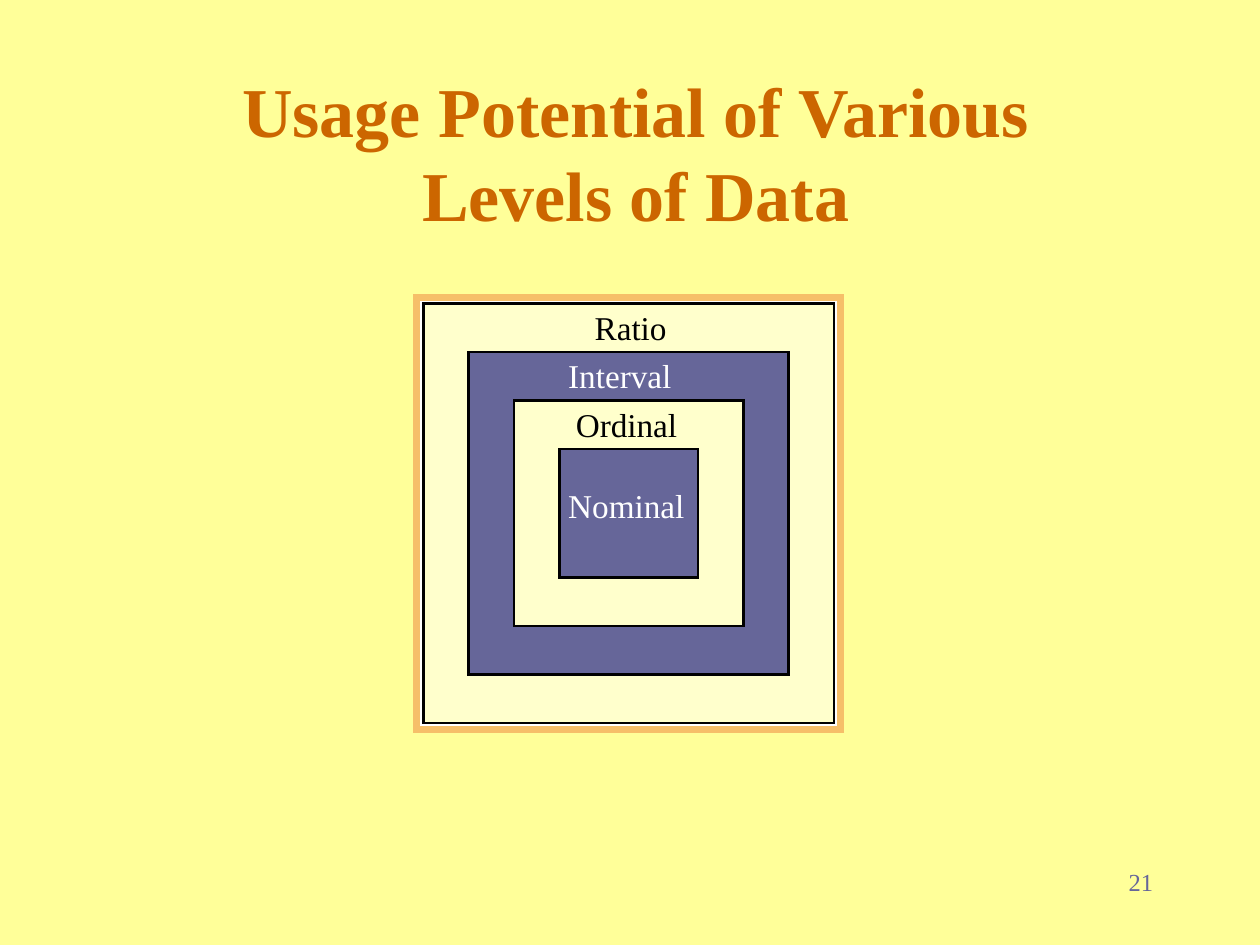
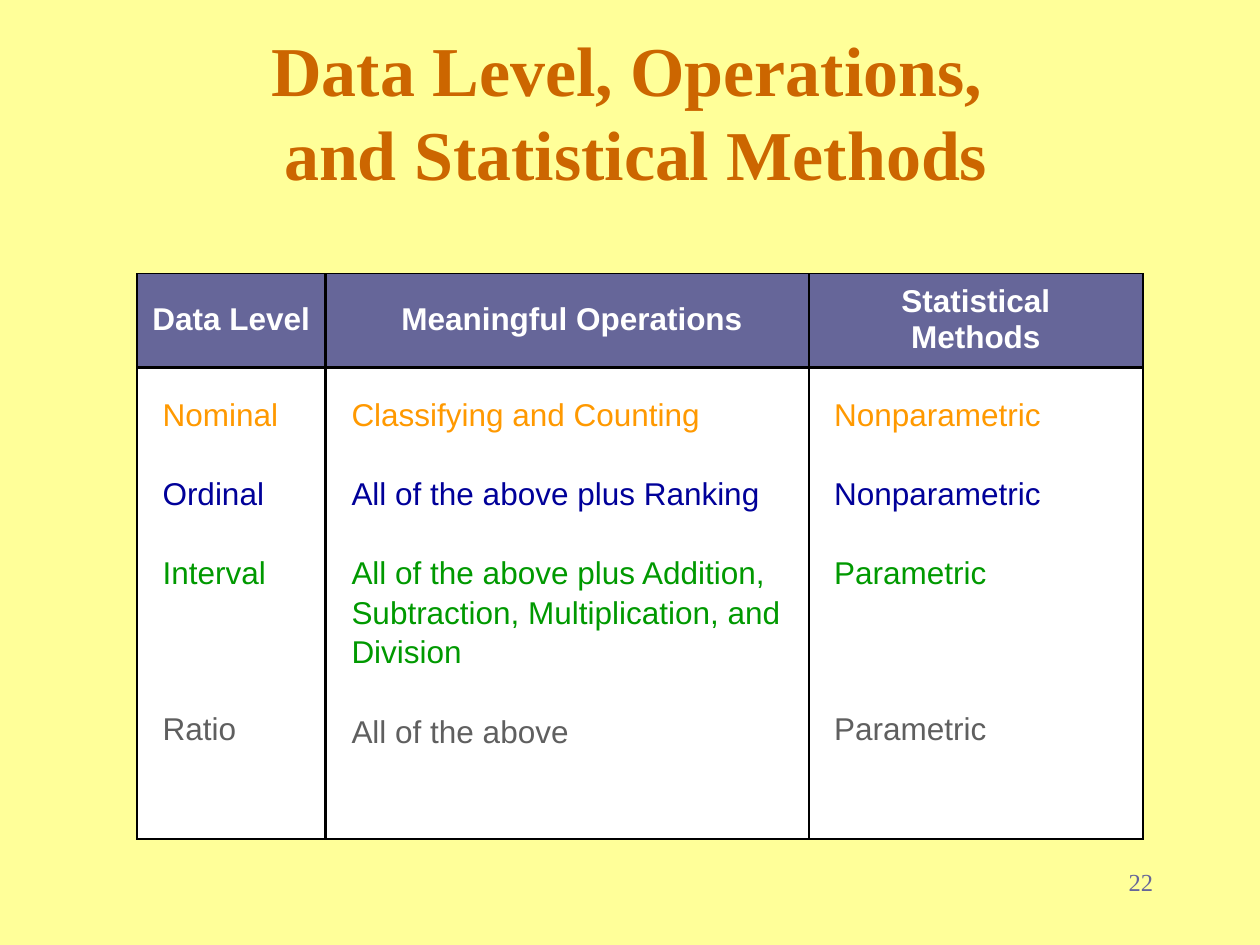
from dataclasses import dataclass

from lxml.etree import SubElement
from pptx import Presentation
from pptx.dml.color import RGBColor
from pptx.enum.shapes import MSO_SHAPE
from pptx.enum.text import MSO_ANCHOR, PP_ALIGN
from pptx.oxml.ns import qn
from pptx.slide import Slide
from pptx.text.text import TextFrame, _Paragraph
from pptx.util import Inches, Pt

HUES = {
    "page": "FFFF99",
    "title": "CC6600",
    "slate": "666699",
    "cream": "FFFFCC",
    "frame": "F6BF69",
    "white": "FFFFFF",
    "black": "000000",
    "orange": "FF9900",
    "navy": "000099",
    "green": "009900",
    "gray": "5F5F5F",
}
SERIF = "Times New Roman"
SANS = "Arial"


@dataclass(frozen=True)
class Box:
    left: float
    top: float
    width: float
    height: float

    def inset(self, side: float, edge: float) -> "Box":
        return Box(self.left + side, self.top + edge,
                   self.width - 2 * side, self.height - 2 * edge)

    def sizes(self) -> tuple:
        return tuple(Inches(n) for n in (self.left, self.top, self.width, self.height))


@dataclass(frozen=True)
class Level:
    name: str
    fill: str
    ink: str
    label: Box


@dataclass(frozen=True)
class Column:
    left: float
    width: float
    head: str
    items: tuple[str, str, str, str]
    last_gap: float


LEVELS = (
    Level("Ratio", "cream", "black", Box(4.72, 2.44, 0.63, 0.32)),
    Level("Interval", "slate", "white", Box(4.51, 2.82, 0.95, 0.32)),
    Level("Ordinal", "cream", "black", Box(4.57, 3.21, 0.92, 0.32)),
    Level("Nominal", "slate", "white", Box(4.51, 3.85, 1.05, 0.32)),
)
GAP = 22.5
WIDE_GAP = 66.5
INKS = ("orange", "navy", "green", "gray")
COLUMNS = (
    Column(1.09, 1.49, "Data Level",
           ("Nominal", "Ordinal", "Interval", "Ratio"), WIDE_GAP),
    Column(2.59, 3.9, "Meaningful Operations",
           ("Classifying and Counting",
            "All of the above plus Ranking",
            "All of the above plus Addition, Subtraction, Multiplication, and Division",
            "All of the above"), GAP),
    Column(6.42, 2.65, "Statistical\nMethods",
           ("Nonparametric", "Nonparametric", "Parametric", "Parametric"), WIDE_GAP),
)


def color(name: str) -> RGBColor:
    return RGBColor.from_string(HUES[name])


def style(para: _Paragraph, size: float, ink: str, face: str, bold: bool = False) -> None:
    para.font.size = Pt(size)
    para.font.name = face
    para.font.bold = bold
    para.font.color.rgb = color(ink)


def set_pad(frame: TextFrame, side: float, edge: float) -> None:
    frame.margin_left = frame.margin_right = Inches(side)
    frame.margin_top = frame.margin_bottom = Inches(edge)


def add_text(slide: Slide, box: Box, wrap: bool = True) -> TextFrame:
    frame = slide.shapes.add_textbox(*box.sizes()).text_frame
    frame.word_wrap = wrap
    if not wrap:
        set_pad(frame, 0, 0)
    return frame


def add_rect(slide: Slide, box: Box, fill: str, line: str = "", width: float = 1.5) -> TextFrame:
    rect = slide.shapes.add_shape(MSO_SHAPE.RECTANGLE, *box.sizes())
    rect.shadow.inherit = False
    rect.fill.solid()
    rect.fill.fore_color.rgb = color(fill)
    if line:
        rect.line.color.rgb = color(line)
        rect.line.width = Pt(width)
        SubElement(rect.line._get_or_add_ln(), qn("a:miter"), lim="800000")
    else:
        rect.line.fill.background()
    return rect.text_frame


def add_page(deck: Presentation, lines: tuple[str, str], height: float, number: int) -> Slide:
    slide = deck.slides.add_slide(deck.slide_layouts[6])
    slide.background.fill.solid()
    slide.background.fill.fore_color.rgb = color("page")

    frame = add_text(slide, Box(0.42, 0.34, 9.25, height))
    frame.vertical_anchor = MSO_ANCHOR.BOTTOM
    para = frame.paragraphs[0]
    para.alignment = PP_ALIGN.CENTER
    para.add_run().text = lines[0]
    para.add_line_break()
    para.add_run().text = lines[1]
    style(para, 40, "title", SERIF, True)

    para = add_text(slide, Box(8.42, 6.83, 0.83, 0.5)).paragraphs[0]
    para.text = str(number)
    para.alignment = PP_ALIGN.RIGHT
    para.space_before = Pt(8.8)
    style(para, 14, "slate", SERIF)
    return slide


def draw_nest(slide: Slide) -> None:
    add_rect(slide, Box(3.3, 2.34, 3.39, 3.46), "slate")
    add_rect(slide, Box(3.31, 2.36, 3.36, 3.43), "white", "frame", 4)
    box = Box(3.36, 2.41, 3.26, 3.33)
    for level in LEVELS:
        add_rect(slide, box, level.fill, "black")
        box = box.inset(0.36, 0.77 / 2)
    for level in LEVELS:
        para = add_text(slide, level.label, False).paragraphs[0]
        para.text = level.name
        style(para, 19, level.ink, SERIF)


def draw_column(slide: Slide, column: Column) -> None:
    frame = add_rect(slide, Box(column.left, 2.17, column.width, 0.74), "slate", "black", 1)
    frame.word_wrap = True
    frame.vertical_anchor = MSO_ANCHOR.MIDDLE
    set_pad(frame, 0.1, 0.05)
    frame.text = column.head
    for para in frame.paragraphs:
        para.alignment = PP_ALIGN.CENTER
        para.line_spacing = 0.95
        style(para, 18, "white", SANS, True)

    frame = add_rect(slide, Box(column.left, 2.92, column.width, 3.74), "white", "black", 1)
    frame.word_wrap = True
    frame.vertical_anchor = MSO_ANCHOR.TOP
    set_pad(frame, 0.2, 0.2)
    frame.text = "\n".join(column.items)
    gaps = (GAP, GAP, GAP, column.last_gap)
    for para, ink, gap in zip(frame.paragraphs, INKS, gaps):
        para.alignment = PP_ALIGN.LEFT
        para.line_spacing = 1.05
        para.space_before = Pt(gap)
        style(para, 18, ink, SANS)


def main() -> None:
    deck = Presentation()
    deck.slide_width = Inches(10)
    deck.slide_height = Inches(7.5)
    draw_nest(add_page(deck, ("Usage Potential of Various", "Levels of Data"), 1.58, 21))
    slide = add_page(deck, ("Data Level, Operations, ", "and Statistical Methods"), 1.25, 22)
    for column in COLUMNS:
        draw_column(slide, column)
    deck.save("out.pptx")


if __name__ == "__main__":
    main()
